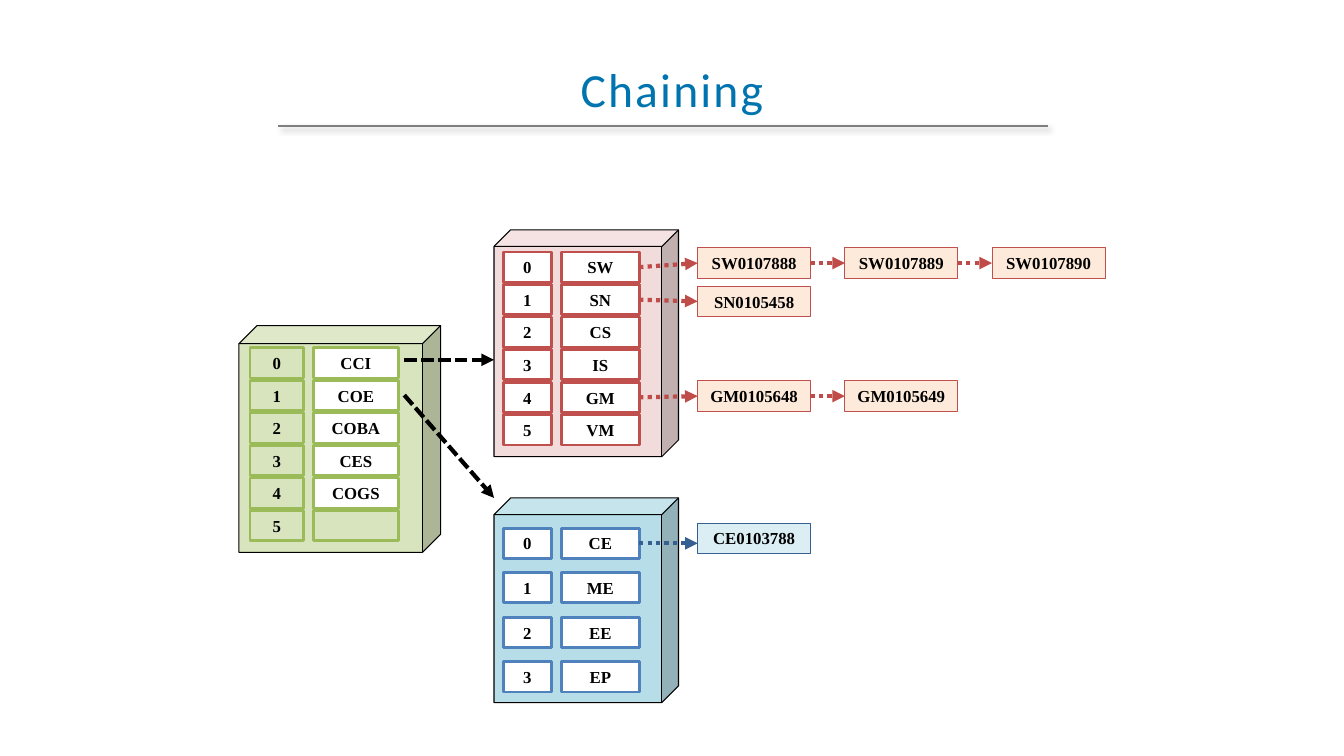
from lxml import etree
from pptx import Presentation
from pptx.dml.color import RGBColor as Rgb
from pptx.enum.dml import MSO_LINE as Dash
from pptx.enum.shapes import MSO_CONNECTOR as Conn, MSO_SHAPE as Kind
from pptx.enum.text import MSO_ANCHOR as Anchor, MSO_AUTO_SIZE as Auto, PP_ALIGN as Align
from pptx.oxml import parse_xml
from pptx.oxml.ns import qn
from pptx.util import Inches, Pt

HUES = {
    "black": "000000", "white": "FFFFFF", "title": "0074AF", "rule": "7F7F7F",
    "leaf": "D7E4BD", "green": "9BBB59", "pink": "F2DCDB", "red": "C0504D",
    "brick": "BF4C48", "sky": "B7DEE8", "blue": "4F81BD", "navy": "376092",
    "peach": "FDEADA", "ice": "DBEEF4",
}
NS = 'xmlns:a="http://schemas.openxmlformats.org/drawingml/2006/main"'
GLOW = (f'<a:effectLst {NS}><a:outerShdw blurRad="50800" dist="38100" dir="2700000">'
        '<a:srgbClr val="000000"><a:alpha val="40000"/></a:srgbClr>'
        '</a:outerShdw></a:effectLst>')
FLAT = f"<a:effectLst {NS}/>"


class Deck:
    body = {"name": "Times New Roman", "size": Pt(12), "bold": True}
    head = {"name": "Calibri", "size": Pt(34), "bold": False}

    def __init__(self):
        self.prs = Presentation()
        self.prs.slide_width, self.prs.slide_height = Inches(13.33), Inches(7.5)
        self.slide = self.prs.slides.add_slide(self.prs.slide_layouts[5])
        self.shapes = self.slide.shapes

    def hue(self, name):
        return Rgb.from_string(HUES[name])

    def style(self, font, form, hue):
        for key, val in form.items():
            setattr(font, key, val)
        font.color.rgb = self.hue(hue)

    def title(self, text):
        box = self.shapes.title
        spot = {"left": 0, "top": 0, "width": 13.33, "height": 1.76}
        for key, val in spot.items():
            setattr(box, key, Inches(val))
        frame = box.text_frame
        frame.vertical_anchor = Anchor.MIDDLE
        para = frame.paragraphs[0]
        para.alignment = Align.CENTER
        run = para.add_run()
        run.text = text
        self.style(run.font, self.head, "title")
        run.font._element.set("spc", "160")

    def shape(self, kind, spot, fill, line, wide):
        item = self.shapes.add_shape(kind, *map(Inches, spot))
        item.shadow.inherit = False
        item.fill.solid()
        item.fill.fore_color.rgb = self.hue(fill)
        item.line.color.rgb = self.hue(line)
        item.line.width = Pt(wide)
        return item

    def cube(self, spot, fill):
        self.shape(Kind.CUBE, spot, fill, "black", 0.75).adjustments[0] = 0.09

    def box(self, text, spot, fill, line, wide=0.75):
        item = self.shape(Kind.RECTANGLE, spot, fill, line, wide)
        if text:
            frame = item.text_frame
            frame.word_wrap = True
            frame.auto_size = Auto.SHAPE_TO_FIT_TEXT
            para = frame.paragraphs[0]
            para.alignment = Align.CENTER
            run = para.add_run()
            run.text = text
            self.style(run.font, self.body, "black")
        return item

    def line(self, start, end, hue, wide, dash=None, glow=FLAT):
        item = self.shapes.add_connector(Conn.STRAIGHT, *map(Inches, start + end))
        item.line.color.rgb = self.hue(hue)
        item.line.width = Pt(wide)
        if dash:
            item.line.dash_style = dash
            tail = etree.SubElement(item.line._get_or_add_ln(), qn("a:tailEnd"))
            tail.set("type", "triangle")
        item._element.spPr.append(parse_xml(glow))
        return item

    def link(self, left, right, hue):
        """Dotted arrow from the right side of one box to the left of the next."""
        item = self.line((0, 0), (1, 1), hue, 3, Dash.ROUND_DOT)
        item.begin_connect(left, 3)
        item.end_connect(right, 1)

    def table(self, cube, fill, keys, vals, top, step, names, line, shade):
        """Cube with a column of slot numbers and a column of names."""
        self.cube(cube, fill)
        cells = {}
        for row, name in enumerate(names):
            y = top + row * step
            self.box(str(row), (keys[0], y, keys[1], 0.3), shade, line, 2)
            back = "white" if name else fill
            cells[name] = self.box(name, (vals[0], y, vals[1], 0.3), back, line, 2)
        return cells


def main():
    deck = Deck()

    # Heading and rule
    deck.title("Chaining")
    deck.line((2.76, 1.25), (10.39, 1.25), "rule", 1, glow=GLOW)

    # Colleges and their departments
    deck.table((2.37, 3.23, 2, 2.25), "leaf", (2.48, 0.53), (3.11, 0.84), 3.45, 0.323,
               ["CCI", "COE", "COBA", "CES", "COGS", ""], "green", "leaf")
    keys, vals = (4.99, 0.48), (5.57, 0.77)
    cells = deck.table((4.9, 2.28, 1.83, 2.25), "pink", keys, vals, 2.5, 0.323,
                       ["SW", "SN", "CS", "IS", "GM", "VM"], "red", "white")
    cells |= deck.table((4.9, 4.94, 1.83, 2.03), "sky", keys, vals, 5.24, 0.442,
                        ["CE", "ME", "EE", "EP"], "blue", "white")

    # Chains of student numbers
    warm, cool = ("peach", "red", "brick"), ("ice", "navy", "navy")
    chains = [
        ("SW", 2.46, ["SW0107888", "SW0107889", "SW0107890"], warm),
        ("SN", 2.84, ["SN0105458"], warm),
        ("GM", 3.78, ["GM0105648", "GM0105649"], warm),
        ("CE", 5.19, ["CE0103788"], cool),
    ]
    for name, top, codes, (fill, edge, hue) in chains:
        last = cells[name]
        for col, code in enumerate(codes):
            node = deck.box(code, (6.92 + col * 1.46, top, 1.12, 0.3), fill, edge)
            if name == "CE":
                deck.line((6.34, 5.39), (6.92, 5.39), hue, 3, Dash.ROUND_DOT).begin_connect(last, 3)
            else:
                deck.link(last, node, hue)
            last = node

    # Arrows from colleges to departments
    for start, end in [((4.01, 3.57), (4.9, 3.57)), ((4.01, 3.92), (4.9, 4.94))]:
        deck.line(start, end, "black", 3, Dash.SQUARE_DOT)

    deck.prs.save("out.pptx")


if __name__ == "__main__":
    main()
